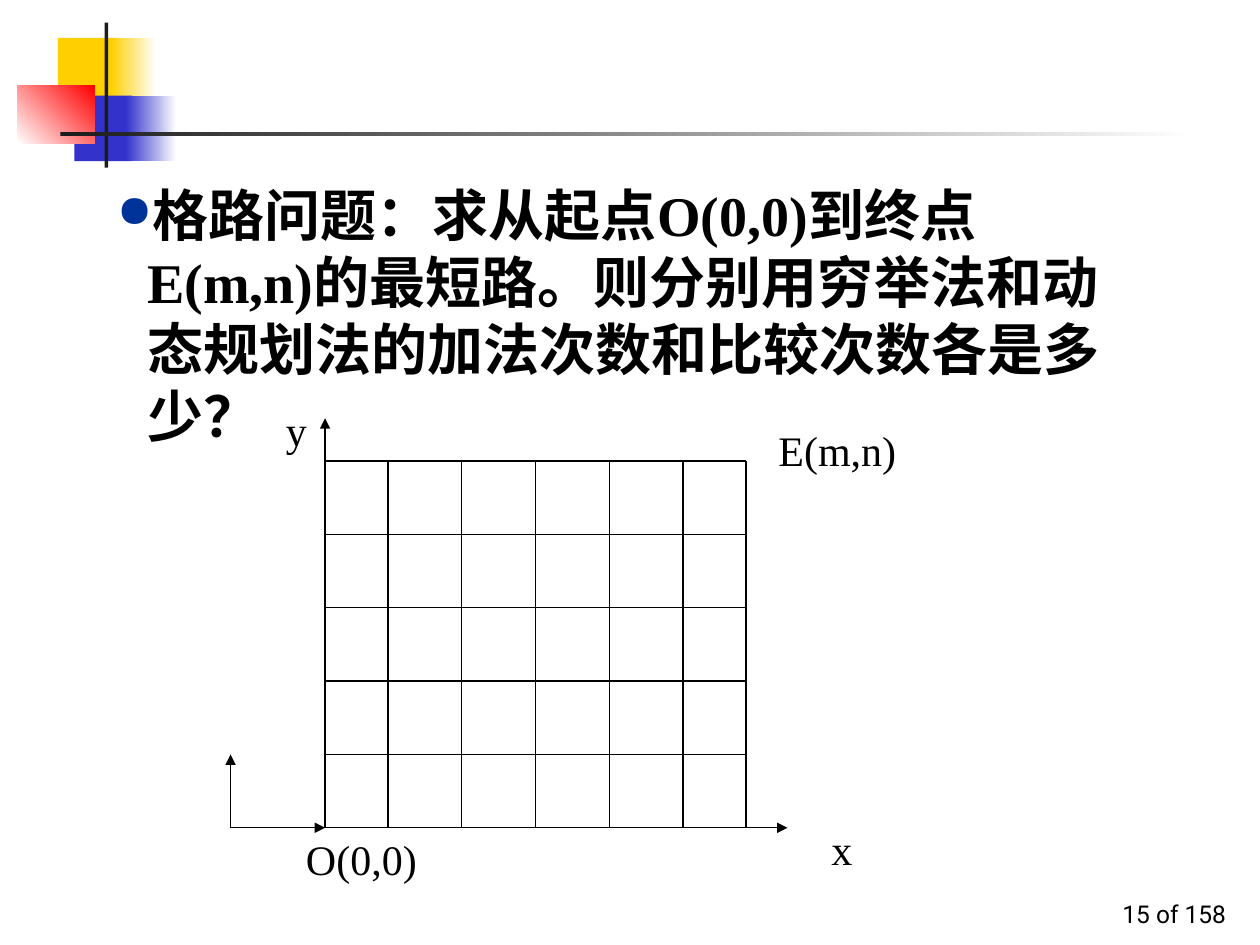
from lxml import etree
from pptx import Presentation, util as u
from pptx.dml import color
from pptx.enum import lang, shapes, text
from pptx.oxml import ns

LEFT, RIGHT, TOP, BASE = 2.58, 5.92, 3.66, 6.57
ROWS = 5
STEP = (BASE - TOP) / ROWS
INK = "000000"


def rgb(code):
    return color.RGBColor.from_string(code)


def add_tag(parent, name, **attrs):
    return etree.SubElement(parent, ns.qn(name), attrs)


def add_block(slide, box, start, end=None, angle=0):
    block = slide.shapes.add_shape(
        shapes.MSO_SHAPE.RECTANGLE, *map(u.Inches, box))
    block.shadow.inherit = False
    block.line.fill.background()
    if end is None:
        block.fill.solid()
        block.fill.fore_color.rgb = rgb(start)
        return
    block.fill.gradient()
    block.fill.gradient_angle = angle
    for stop, code in zip(block.fill.gradient_stops, (start, end)):
        stop.color.rgb = rgb(code)


def add_line(slide, x1, y1, x2, y2, arrow=False):
    line = slide.shapes.add_connector(
        shapes.MSO_CONNECTOR.STRAIGHT, *map(u.Inches, (x1, y1, x2, y2)))
    line.line.color.rgb = rgb(INK)
    line.line.width = u.Pt(0.75)
    if arrow:
        add_tag(line.line._get_or_add_ln(), "a:tailEnd", type="triangle")
    add_tag(line._element.spPr, "a:effectLst")


def add_text(slide, box, words, size=24, font="Times New Roman", bold=False,
             before=15, align=text.PP_ALIGN.LEFT,
             anchor=text.MSO_ANCHOR.TOP, bullet=None):
    frame = slide.shapes.add_textbox(*map(u.Inches, box)).text_frame
    frame.word_wrap = True
    frame.vertical_anchor = anchor
    para = frame.paragraphs[0]
    para.alignment = align
    para.space_before = u.Pt(before)
    run = para.add_run()
    run.text = words
    run.font.size = u.Pt(size)
    run.font.name = font
    run.font.bold = bold
    run.font.color.rgb = rgb(INK)
    if bullet:
        run.font.language_id = lang.MSO_LANGUAGE_ID.SIMPLIFIED_CHINESE
        add_bullet(para, bullet)


def add_bullet(para, code):
    props = para._p.get_or_add_pPr()
    hang = u.Inches(0.24)
    props.set("marL", str(hang))
    props.set("indent", str(-hang))
    add_tag(add_tag(props, "a:buClr"), "a:srgbClr", val=code)
    add_tag(props, "a:buSzPct", val="80000")
    add_tag(props, "a:buChar", char="●")


def add_decor(slide):
    add_block(slide, (0.46, 0.3, 0.48, 0.52), "FFCF01")
    add_block(slide, (0.88, 0.3, 0.36, 0.52), "FFCF01", "FFFFFF")
    add_block(slide, (0.59, 0.76, 0.46, 0.52), "3333CC")
    add_block(slide, (1, 0.76, 0.4, 0.52), "3333CC", "FFFFFF")
    add_block(slide, (0.14, 0.68, 0.61, 0.46), "FFFFFF", "FF0000", 45)
    add_block(slide, (0.83, 0.18, 0.03, 1.15), "1C1C1C")
    add_block(slide, (0.48, 1.05, 9, 0.03), "1C1C1C", "FFFFFF")


def add_grid(slide):
    add_line(slide, LEFT, BASE, LEFT, 3.32, arrow=True)
    add_line(slide, LEFT, BASE, 6.25, BASE, arrow=True)
    for row in range(ROWS):
        y = TOP + row * STEP
        add_line(slide, LEFT, y, RIGHT, y)
    for x in [3.08 + col * 0.585 for col in range(5)] + [RIGHT]:
        add_line(slide, x, TOP, x, BASE)
    add_line(slide, 1.83, BASE, LEFT, BASE, arrow=True)
    add_line(slide, 1.83, BASE, 1.83, BASE - STEP, arrow=True)


def add_labels(slide):
    add_text(slide, (6.08, 3.32, 1.17, 0.5), "E(m,n)")
    add_text(slide, (2.33, 6.57, 1.25, 0.5), "O(0,0)")
    add_text(slide, (6.5, 6.49, 0.92, 0.5), "x")
    add_text(slide, (2.17, 3.16, 0.75, 0.5), "y")


def main():
    deck = Presentation()
    deck.slide_width, deck.slide_height = u.Inches(10), u.Inches(7.5)
    slide = deck.slides.add_slide(deck.slide_layouts[6])
    add_decor(slide)
    add_text(slide, (7.75, 6.92, 2.08, 0.5), "15 of 158", size=14,
             font="Roboto", before=0, align=text.PP_ALIGN.RIGHT,
             anchor=text.MSO_ANCHOR.BOTTOM)
    add_text(slide, (0.83, 1.38, 8.33, 1.7),
             "格路问题：求从起点O(0,0)到终点E(m,n)的最短路。"
             "则分别用穷举法和动态规划法的加法次数和比较次数各是多少？",
             size=32, bold=True, before=20, bullet="003399")
    add_grid(slide)
    add_labels(slide)
    deck.save("out.pptx")


if __name__ == "__main__":
    main()
